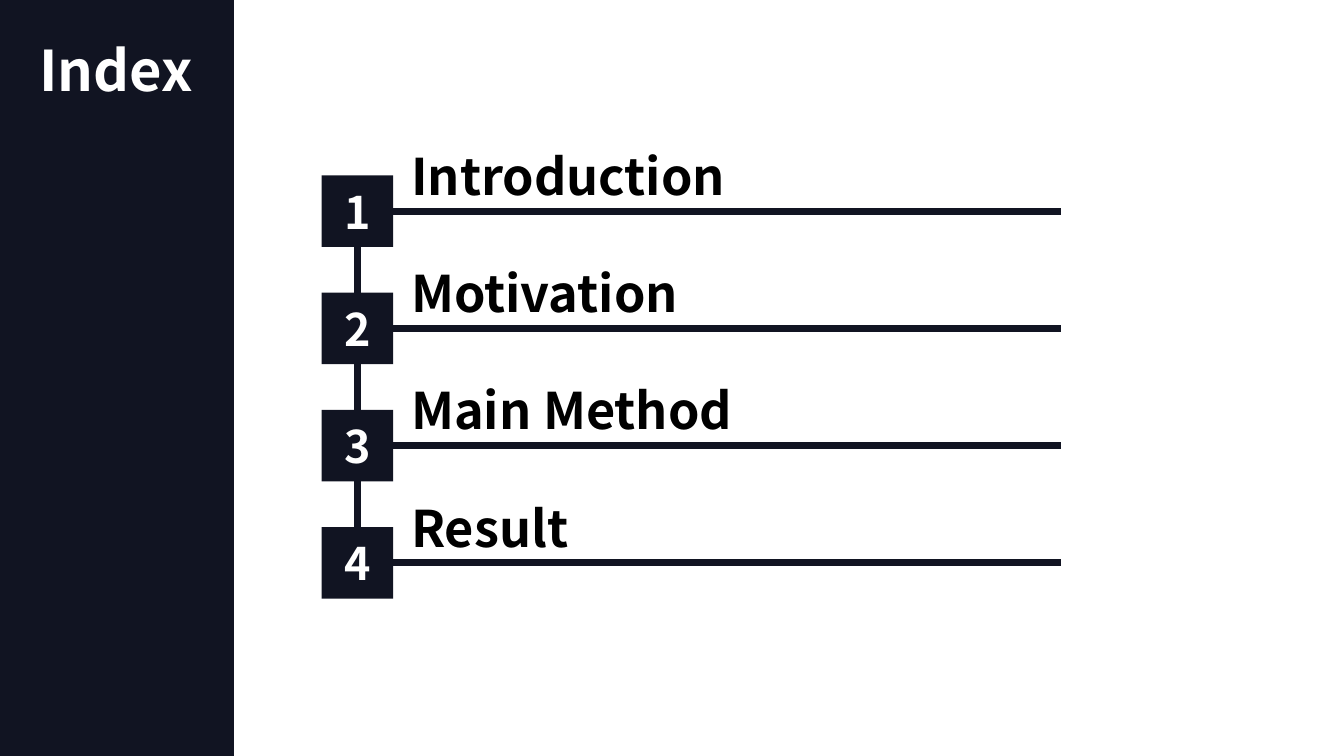
from pptx import Presentation
from pptx.util import Inches, Pt
from pptx.dml.color import RGBColor as Rgb
from pptx.enum.shapes import MSO_SHAPE as Shape, MSO_CONNECTOR as Conn
from pptx.enum.text import PP_ALIGN as Align, MSO_ANCHOR as Anchor
from pptx.oxml.ns import qn
from lxml import etree

COLORS = {"navy": "111422", "white": "FFFFFF", "black": "000000"}
FONT = "Noto Sans CJK KR"


def color(name):
    return Rgb.from_string(COLORS[name])


def write(frame, text, size=36, ink="black", align=Align.LEFT, anchor=Anchor.TOP):
    frame.word_wrap = True
    frame.vertical_anchor = anchor
    para = frame.paragraphs[0]
    para.alignment = align
    run = para.add_run()
    run.text = text
    font = run.font
    font.name, font.size, font.bold = FONT, Pt(size), True
    font.color.rgb = color(ink)


class Deck:
    def __init__(self, slide, fill="navy", width=5):
        self.shapes = slide.shapes
        self.fill = color(fill)
        self.width = Pt(width)

    def rect(self, x, y, w, h):
        box = self.shapes.add_shape(
            Shape.RECTANGLE, Inches(x), Inches(y), Inches(w), Inches(h))
        box.shadow.inherit = False
        box.fill.solid()
        box.fill.fore_color.rgb = self.fill
        box.line.fill.background()
        return box

    def text(self, x, y, w, h, text, **style):
        box = self.shapes.add_textbox(Inches(x), Inches(y), Inches(w), Inches(h))
        write(box.text_frame, text, **style)

    def line(self, x1, y1, x2, y2):
        line = self.shapes.add_connector(
            Conn.STRAIGHT, Inches(x1), Inches(y1), Inches(x2), Inches(y2))
        line.line.color.rgb = self.fill
        line.line.width = self.width
        etree.SubElement(line._element.spPr, qn("a:effectLst"))


def main():
    prs = Presentation()
    prs.slide_width, prs.slide_height = Inches(13.33), Inches(7.5)
    deck = Deck(prs.slides.add_slide(prs.slide_layouts[6]))

    # Side panel with the title
    deck.rect(0, 0, 2.32, 7.5)
    deck.text(0.29, 0.3, 1.84, 0.77, "Index", size=40, ink="white")

    # Numbered topics, joined from square to square
    left, top, side, step = 3.19, 1.74, 0.71, 1.163
    topics = ["Introduction", "Motivation", "Main Method", "Result"]
    for i, topic in enumerate(topics):
        y = top + i * step
        mid = y + side / 2
        deck.text(3.98, y - 0.35, 6.85, side, topic)
        deck.line(left + side, mid, 10.52, mid)
        if i:
            deck.line(left + side / 2, y - step + side, left + side / 2, y)
        box = deck.rect(left, y, side, side)
        write(box.text_frame, str(i + 1), size=32, ink="white",
              align=Align.CENTER, anchor=Anchor.MIDDLE)

    prs.save("out.pptx")


if __name__ == "__main__":
    main()
